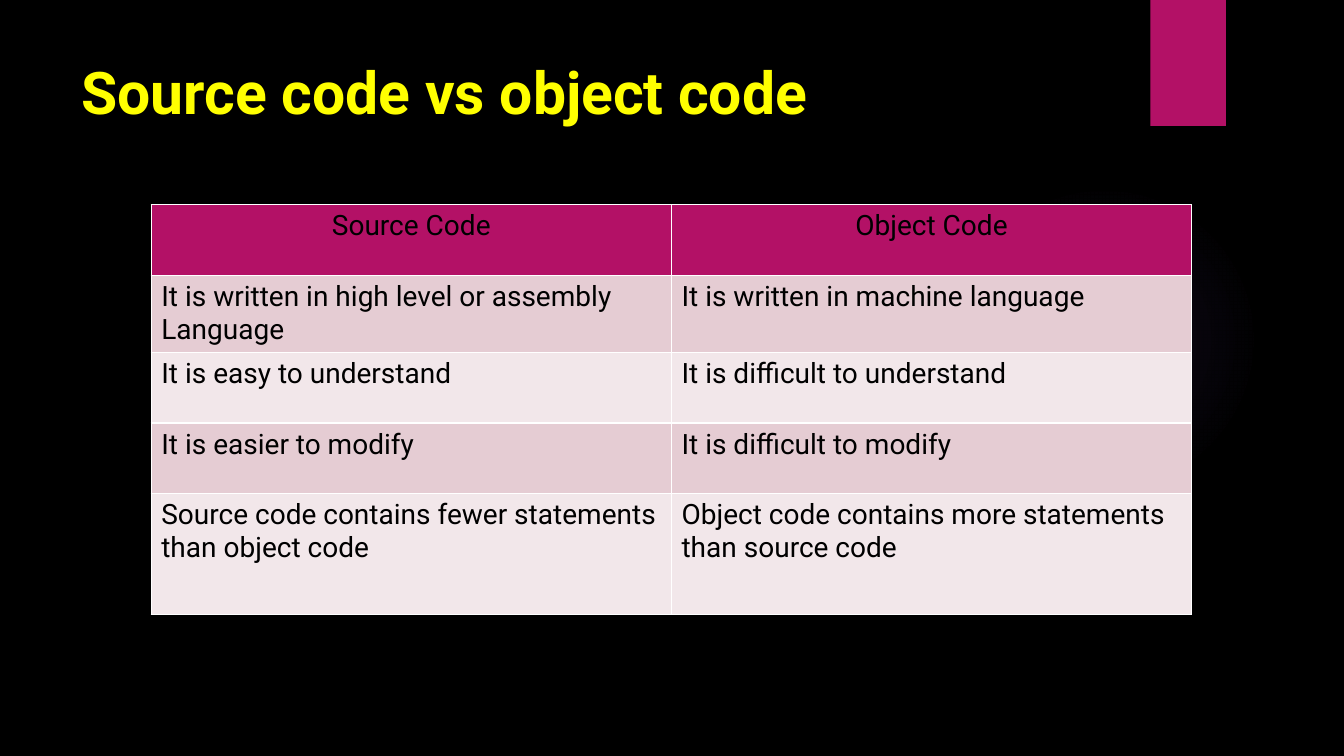
from lxml import etree
from pptx import Presentation
from pptx.dml.color import RGBColor
from pptx.enum import shapes, text
from pptx.oxml import ns
from pptx.util import Inches, Pt

# Content
TITLE = "Source code vs object code"
ROWS = [
    ("Source Code", "Object Code"),
    ("It is written in high level or assembly Language",
     "It is written in machine language"),
    ("It is easy to understand", "It is difficult to understand"),
    ("It is easier to modify", "It is difficult to modify"),
    ("Source code contains fewer statements than object code",
     "Object code contains more statements than source code"),
]
HEIGHTS = [0.7, 0.76, 0.7, 0.7, 1.2]
WIDTH = 5.16
GLOW = [(0, 7), (36, 6), (69, 0)]  # stop and opacity, in percent

THEME = {
    "font": "Roboto", "title": 42, "cell": 20, "rule": 1,
    "back": "000000", "head": "FFFF00", "ink": "000000",
    "accent": "B31166", "bands": ("F2E7EA", "E5CCD3"),
    "line": "FFFFFF", "glow": "9B6BF2",
}


def paint(fill, color):
    fill.solid()
    fill.fore_color.rgb = RGBColor.from_string(color)


def style(frame, size, color, bold=False):
    for run in frame.paragraphs[0].runs:
        font = run.font
        font.name, font.size, font.bold = THEME["font"], Pt(size), bold
        font.color.rgb = RGBColor.from_string(color)


def add(parent, tag, **attrs):
    node = etree.SubElement(parent, ns.qn(tag))
    for key, value in attrs.items():
        node.set(key, str(value))
    return node


def tint(parent, color):
    return add(add(parent, "a:solidFill"), "a:srgbClr", val=color)


def block(slide, kind, *box):
    shape = slide.shapes.add_shape(kind, *map(Inches, box))
    shape.shadow.inherit = False
    shape.line.fill.background()
    return shape


def add_glow(slide):
    shape = block(slide, shapes.MSO_SHAPE.OVAL, 9.41, 1.83, 3.08, 3.08)
    shape.fill.background()
    props = shape.fill._xPr
    grad = etree.Element(ns.qn("a:gradFill"))
    stops = add(grad, "a:gsLst")
    for pos, alpha in GLOW:
        stop = add(stops, "a:gs", pos=pos * 1000)
        color = add(stop, "a:srgbClr", val=THEME["glow"])
        add(color, "a:alpha", val=alpha * 1000)
    center = add(grad, "a:path", **{"path": "circle"})
    add(center, "a:fillToRect", l=50000, t=50000, r=50000, b=50000)
    props.replace(props.find(ns.qn("a:noFill")), grad)


def add_tab(slide):
    shape = block(slide, shapes.MSO_SHAPE.RECTANGLE, 11.41, 0, 0.75, 1.25)
    paint(shape.fill, THEME["accent"])
    effects = shape._element.spPr.find(ns.qn("a:effectLst"))
    shade = add(effects, "a:outerShdw", blurRad=Pt(3), dist=Pt(2),
                dir=90 * 60000, rotWithShape=0)
    add(add(shade, "a:srgbClr", val="000000"), "a:alpha", val=45000)


def add_title(slide):
    box = slide.shapes.add_textbox(*map(Inches, (0.71, 0.5, 10.29, 1.53)))
    box.text_frame.word_wrap = True
    box.text_frame.text = TITLE
    style(box.text_frame, THEME["title"], THEME["head"], True)


def set_cell(cell, words, row):
    cell.text = words
    style(cell.text_frame, THEME["cell"], THEME["ink"])
    if row == 0:
        cell.text_frame.paragraphs[0].alignment = text.PP_ALIGN.CENTER
    # Borders come before the fill in the cell properties
    props = cell._tc.get_or_add_tcPr()
    for side in "LRTB":
        tint(add(props, "a:ln" + side, w=Pt(THEME["rule"])), THEME["line"])
    paint(cell.fill, THEME["bands"][row % 2] if row else THEME["accent"])


def add_grid(slide):
    cols = len(ROWS[0])
    box = (1.5, 2.03, WIDTH * cols, sum(HEIGHTS))
    grid = slide.shapes.add_table(len(ROWS), cols, *map(Inches, box)).table
    for col in grid.columns:
        col.width = Inches(WIDTH)
    for row, (words, high) in enumerate(zip(ROWS, HEIGHTS)):
        grid.rows[row].height = Inches(high)
        for col, word in enumerate(words):
            set_cell(grid.cell(row, col), word, row)


def main():
    deck = Presentation()
    deck.slide_width, deck.slide_height = Inches(13.33), Inches(7.5)
    slide = deck.slides.add_slide(deck.slide_layouts[6])
    paint(slide.background.fill, THEME["back"])
    add_glow(slide)
    add_tab(slide)
    add_title(slide)
    add_grid(slide)
    deck.save("out.pptx")


if __name__ == "__main__":
    main()
